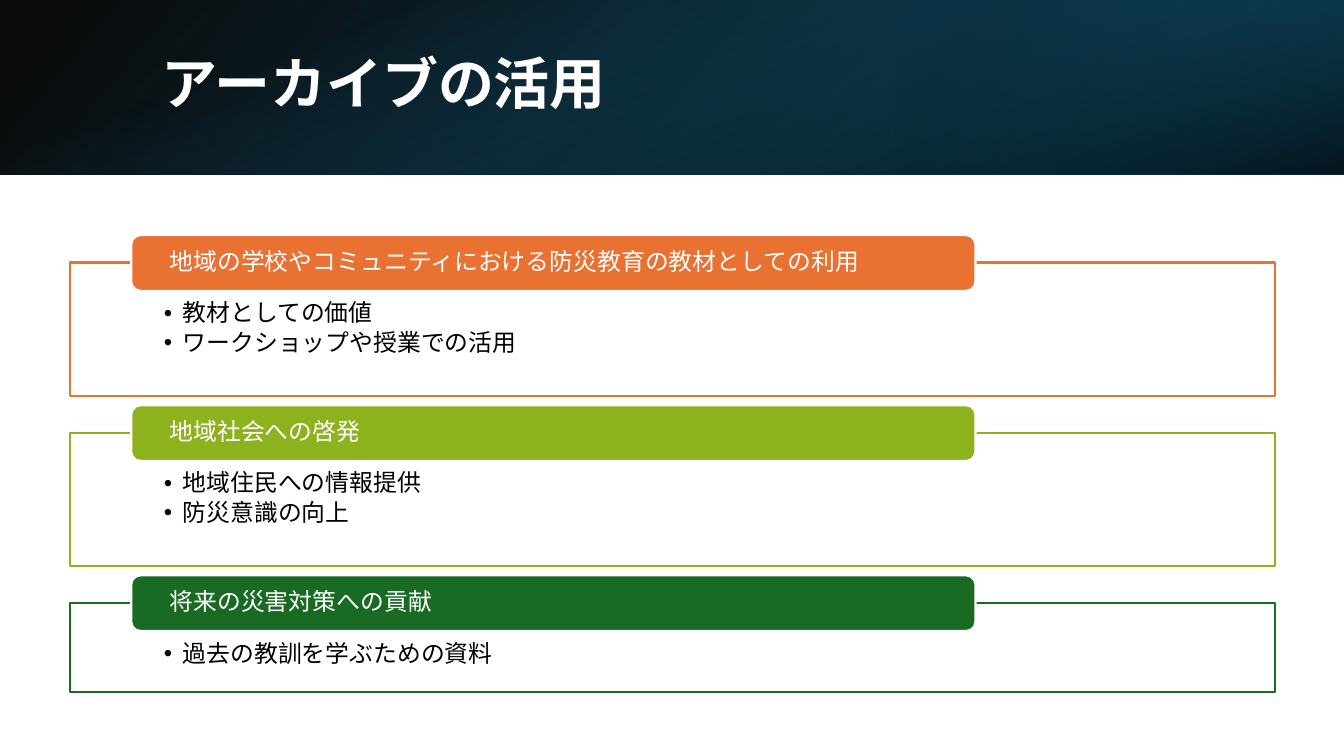
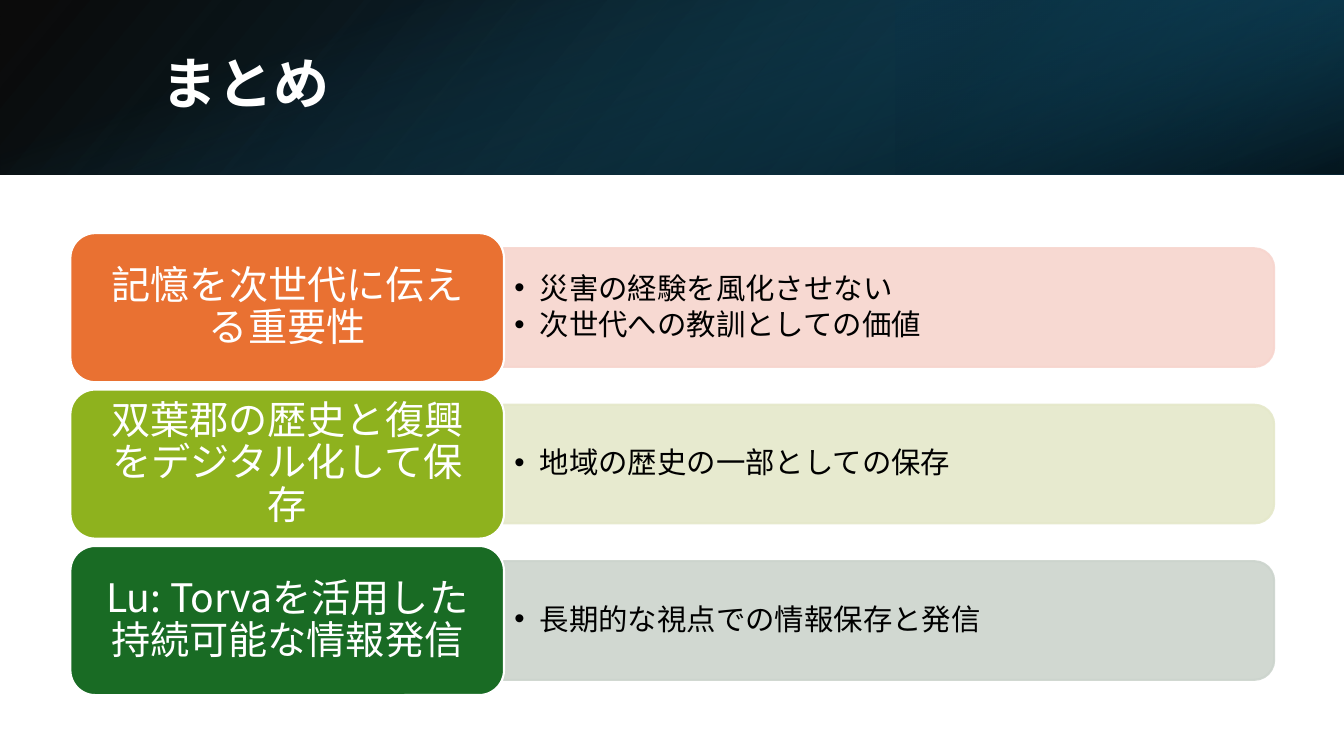
"""Build two slides on using and preserving a disaster archive."""
from typing import NamedTuple

from lxml import etree
from pptx import Presentation
from pptx import util as u
from pptx.dml.color import RGBColor
from pptx.enum import shapes as kinds, text as txt
from pptx.oxml.ns import qn

SLIDE_W, SLIDE_H, BAND_H = 1280, 720, 166
FONT = "Noto Sans CJK JP"
WHITE, BLACK = RGBColor(0xFF, 0xFF, 0xFF), RGBColor(0, 0, 0)
ORANGE, LIME, GREEN = (RGBColor(0xE9, 0x71, 0x32), RGBColor(0x8E, 0xB2, 0x1E),
                       RGBColor(0x19, 0x6B, 0x24))
PINK, PALE_LIME, GREY = (RGBColor(0xF7, 0xD5, 0xCE), RGBColor(0xE5, 0xE8, 0xCA),
                         RGBColor(0xCC, 0xD4, 0xCD))
NAVY, DEEP_BLUE, TEAL = (RGBColor(0x10, 0x48, 0x62), RGBColor(0x0B, 0x30, 0x41),
                         RGBColor(0x15, 0x60, 0x82))


class Box(NamedTuple):
    x: int
    y: int
    w: int
    h: int


class Stop(NamedTuple):
    position: int
    color: RGBColor
    alpha: int


class BandLayer(NamedTuple):
    box: Box
    rotation: int
    flipped: bool
    angle: int
    stops: tuple[Stop, ...]


class TextStyle(NamedTuple):
    size: int
    color: RGBColor
    after: float = 0
    bullet_indent: int = 0
    align: txt.PP_ALIGN = txt.PP_ALIGN.LEFT
    bold: bool = False


class Topic(NamedTuple):
    heading: str
    points: tuple[str, ...]
    color: RGBColor
    tint: RGBColor = WHITE
    height: int = 127


BAND = (
    BandLayer(Box(0, 0, SLIDE_W, BAND_H), 0, True, 140,
              (Stop(0, BLACK, 96), Stop(100, NAVY, 100))),
    BandLayer(Box(853, 0, SLIDE_W - 853, BAND_H), 180, True, 320,
              (Stop(19, DEEP_BLUE, 68), Stop(100, TEAL, 79))),
    BandLayer(Box((SLIDE_W - BAND_H) // 2, (BAND_H - SLIDE_W) // 2, BAND_H, SLIDE_W),
              90, False, 340, (Stop(23, TEAL, 0), Stop(99, BLACK, 74))),
)
TITLE = TextStyle(40, WHITE, bold=True)
USE_HEADING = TextStyle(17, WHITE, 0.35)
USE_POINT = TextStyle(17, BLACK, 0.15, 18)
SUMMARY_HEADING = TextStyle(28, WHITE, 0.35, align=txt.PP_ALIGN.CENTER)
SUMMARY_POINT = TextStyle(21, BLACK, 0.15, 24)

USES = (
    Topic("地域の学校やコミュニティにおける防災教育の教材としての利用",
          ("教材としての価値", "ワークショップや授業での活用"), ORANGE),
    Topic("地域社会への啓発", ("地域住民への情報提供", "防災意識の向上"), LIME),
    Topic("将来の災害対策への貢献", ("過去の教訓を学ぶための資料",), GREEN, height=85),
)
SUMMARY = (
    Topic("記憶を次世代に伝える重要性",
          ("災害の経験を風化させない", "次世代への教訓としての価値"), ORANGE, PINK),
    Topic("双葉郡の歴史と復興をデジタル化して保存",
          ("地域の歴史の一部としての保存",), LIME, PALE_LIME),
    Topic("Lu: Torvaを活用した持続可能な情報発信",
          ("長期的な視点での情報保存と発信",), GREEN, GREY),
)


def px(length: int) -> u.Emu:
    """Turn pixels into EMU."""
    return u.Emu(length * 9525)


def add_block(slide, kind, box: Box, fill: RGBColor, line: RGBColor | None = None):
    """Draw a filled preset shape with an optional outline."""
    block = slide.shapes.add_shape(kind, *map(px, box))
    block.shadow.inherit = False
    block.fill.solid()
    block.fill.fore_color.rgb = fill
    if line is None:
        block.line.fill.background()
    else:
        block.line.color.rgb = line
        block.line.width = u.Pt(1.5)
    return block


def set_gradient(block, layer: BandLayer) -> None:
    """Replace the solid fill with the layer's linear gradient."""
    properties = block.element.spPr
    solid = properties.find(qn("a:solidFill"))
    gradient = etree.Element(qn("a:gradFill"), rotWithShape="1")
    stops = etree.SubElement(gradient, qn("a:gsLst"))
    for stop in layer.stops:
        mark = etree.SubElement(stops, qn("a:gs"), pos=str(stop.position * 1000))
        color = etree.SubElement(mark, qn("a:srgbClr"), val=str(stop.color))
        etree.SubElement(color, qn("a:alpha"), val=str(stop.alpha * 1000))
    etree.SubElement(gradient, qn("a:lin"), ang=str(layer.angle * 60000), scaled="0")
    properties.replace(solid, gradient)


def write(frame, lines: tuple[str, ...], style: TextStyle,
          insets: tuple[int, int, int, int], anchor=txt.MSO_ANCHOR.MIDDLE) -> None:
    """Fill a text frame with one paragraph per line."""
    frame.word_wrap = True
    frame.auto_size = txt.MSO_AUTO_SIZE.NONE
    frame.vertical_anchor = anchor
    (frame.margin_left, frame.margin_top,
     frame.margin_right, frame.margin_bottom) = map(px, insets)
    frame.text = "\n".join(lines)
    for paragraph in frame.paragraphs:
        paragraph.alignment = style.align
        paragraph.line_spacing = 0.9
        paragraph.space_before = u.Pt(0)
        paragraph.space_after = u.Pt(style.size * style.after)
        font = paragraph.font
        font.size, font.bold, font.name = u.Pt(style.size), style.bold, FONT
        font.color.rgb = style.color
        properties = paragraph._p.get_or_add_pPr()
        defaults = properties.find(qn("a:defRPr"))
        etree.SubElement(defaults, qn("a:ea"), typeface=FONT)
        if style.bullet_indent:
            indent = px(style.bullet_indent)
            properties.set("marL", str(indent))
            properties.set("indent", str(-indent))
            face = etree.Element(qn("a:buFont"), typeface="Arial")
            bullet = etree.Element(qn("a:buChar"), char="•")
            defaults.addprevious(face)
            defaults.addprevious(bullet)


def add_titled_slide(deck, title: str):
    """Add a slide with the gradient band and its title."""
    slide = deck.slides.add_slide(deck.slide_layouts[5])
    for layer in BAND:
        block = add_block(slide, kinds.MSO_SHAPE.RECTANGLE, layer.box, BLACK)
        block.rotation = layer.rotation
        if layer.flipped:
            block.element.spPr.find(qn("a:xfrm")).set("flipH", "1")
        set_gradient(block, layer)
    heading = slide.shapes.title
    heading.left, heading.top, heading.width, heading.height = map(
        px, Box(144, 36, 1054, 92))
    write(heading.text_frame, (title,), TITLE, (10, 5, 10, 5))
    heading.element.getparent().append(heading.element)
    return slide


def add_uses(slide, topics: tuple[Topic, ...]) -> None:
    """Stack outlined frames, each with a heading tab on its top edge."""
    top = 250
    for topic in topics:
        frame = add_block(slide, kinds.MSO_SHAPE.RECTANGLE,
                          Box(67, top, 1147, topic.height), WHITE, topic.color)
        write(frame.text_frame, topic.points, USE_POINT, (89, 37, 89, 12),
              txt.MSO_ANCHOR.TOP)
        tab = add_block(slide, kinds.MSO_SHAPE.ROUNDED_RECTANGLE,
                        Box(125, top - 26, 804, 53), topic.color, WHITE)
        write(tab.text_frame, (topic.heading,), USE_HEADING, (34, 0, 34, 0))
        top += topic.height + 35


def add_summary(slide, topics: tuple[Topic, ...]) -> None:
    """Stack heading cards, each with a tinted panel of points at its right."""
    card_h, panel_x, panel_w, panel_h = 142, 480, 734, 113
    for row, topic in enumerate(topics):
        top = 222 + row * 149
        middle = top + card_h // 2
        panel = add_block(
            slide, kinds.MSO_SHAPE.ROUND_2_SAME_RECTANGLE,
            Box(panel_x + (panel_w - panel_h) // 2, middle - panel_w // 2,
                panel_h, panel_w), topic.tint, topic.tint)
        panel.rotation = 90
        for color in panel.element.spPr.iter(qn("a:srgbClr")):
            etree.SubElement(color, qn("a:alpha"), val="90000")
        points = slide.shapes.add_textbox(*map(px, Box(481, middle - 51, 729, 102)))
        write(points.text_frame, topic.points, SUMMARY_POINT, (9, 4, 9, 4))
        card = add_block(slide, kinds.MSO_SHAPE.ROUNDED_RECTANGLE,
                         Box(67, top, 413, card_h), topic.color, WHITE)
        write(card.text_frame, (topic.heading,), SUMMARY_HEADING, (19, 13, 19, 13))


def main() -> None:
    """Build and save the deck."""
    deck = Presentation()
    deck.slide_width, deck.slide_height = px(SLIDE_W), px(SLIDE_H)
    add_uses(add_titled_slide(deck, "アーカイブの活用"), USES)
    add_summary(add_titled_slide(deck, "まとめ"), SUMMARY)
    deck.save("out.pptx")


if __name__ == "__main__":
    main()
